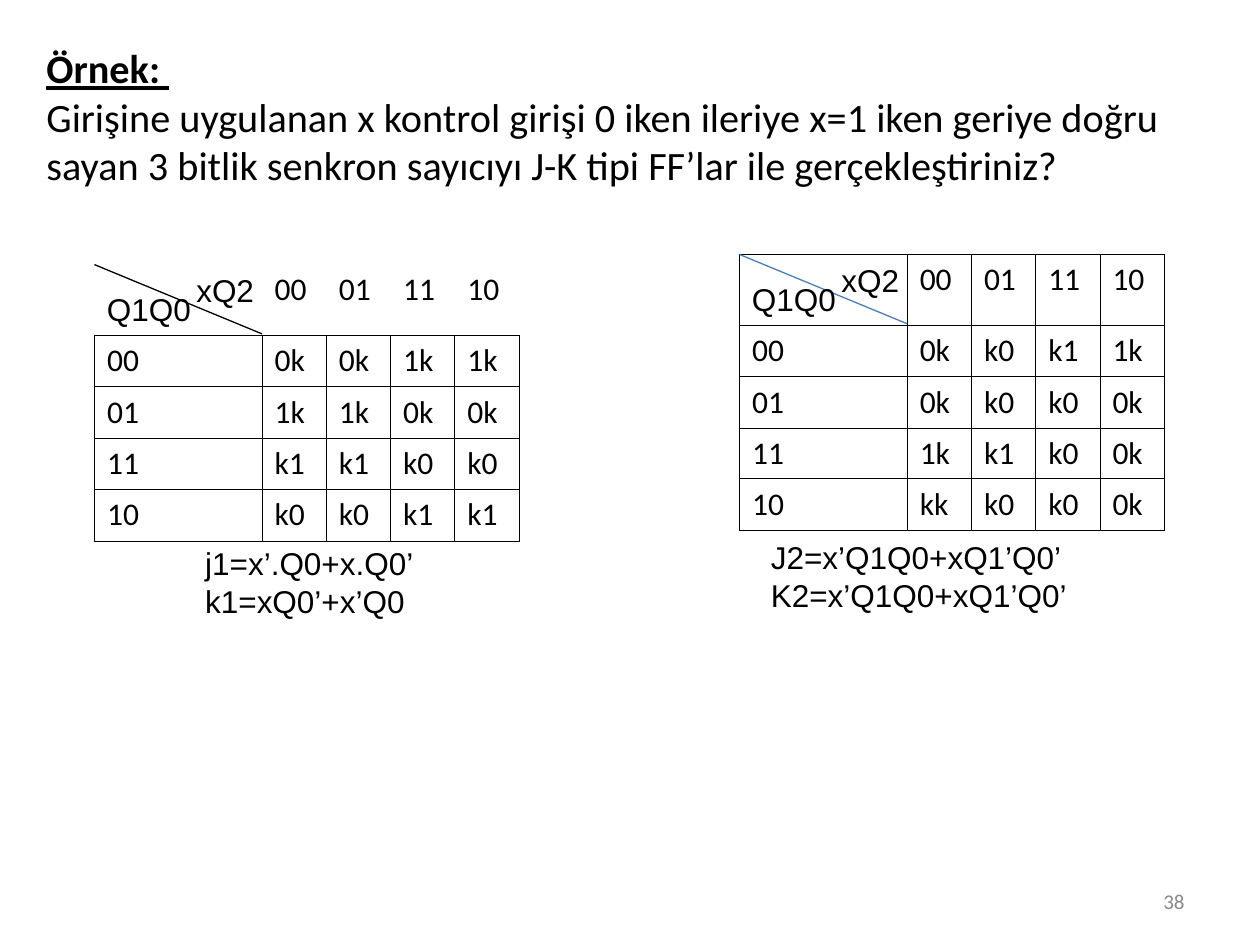
from lxml import etree
from pptx import Presentation
from pptx.dml.color import RGBColor
from pptx.enum.shapes import MSO_CONNECTOR
from pptx.enum.text import MSO_ANCHOR, MSO_AUTO_SIZE, PP_ALIGN
from pptx.oxml.ns import qn
from pptx.util import Inches, Pt

BLACK = RGBColor(0x00, 0x00, 0x00)
BLUE = RGBColor(0x4A, 0x7E, 0xBB)
GRAY = RGBColor(0x89, 0x89, 0x89)
STRAIGHT = MSO_CONNECTOR.STRAIGHT
MIDDLE = MSO_ANCHOR.MIDDLE
TOP = MSO_ANCHOR.TOP
GROW = MSO_AUTO_SIZE.SHAPE_TO_FIT_TEXT
LEFT = PP_ALIGN.LEFT
RIGHT = PP_ALIGN.RIGHT

COL_WIDTHS = [1.33] + [0.51] * 4
ROW_HEIGHTS = [0.56, 0.41, 0.41, 0.4, 0.41]
GRAY_CODE = ["00", "01", "11", "10"]
J1K1 = ["0k 0k 1k 1k", "1k 1k 0k 0k", "k1 k1 k0 k0", "k0 k0 k1 k1"]
J2K2 = ["0k k0 k1 1k", "0k k0 k0 0k", "1k k1 k0 0k", "kk k0 k0 0k"]


def add_run(p, text, size, font="Arial", color=BLACK, strong=False):
    r = p.add_run()
    r.text = text
    r.font.size = Pt(size)
    r.font.name = font
    r.font.color.rgb = color
    r.font.bold = strong
    r.font.underline = strong


def add_box(slide, x, y, w, h, anchor=TOP, wrap=True):
    tf = slide.shapes.add_textbox(Inches(x), Inches(y), Inches(w), Inches(h)).text_frame
    tf.word_wrap = wrap
    tf.vertical_anchor = anchor
    return tf


def add_lines(slide, x, y, w, h, lines, wrap=True):
    tf = add_box(slide, x, y, w, h, wrap=wrap)
    tf.auto_size = GROW
    for i, line in enumerate(lines):
        p = tf.add_paragraph() if i else tf.paragraphs[0]
        add_run(p, line, 18)


def set_borders(cell, sides):
    tc_pr = cell._tc.get_or_add_tcPr()
    for i, side in enumerate("LRTB"):
        ln = etree.Element(qn(f"a:ln{side}"), w=str(Pt(0.45)))
        if side in sides:
            fill = etree.SubElement(ln, qn("a:solidFill"))
            etree.SubElement(fill, qn("a:srgbClr"), val=str(BLACK))
        else:
            etree.SubElement(ln, qn("a:noFill"))
        tc_pr.insert(i, ln)


def add_grid(slide, x, y, values, header_sides):
    table = slide.shapes.add_table(
        len(ROW_HEIGHTS), len(COL_WIDTHS), Inches(x), Inches(y),
        Inches(sum(COL_WIDTHS)), Inches(sum(ROW_HEIGHTS))).table
    table.first_row = False
    table.horz_banding = False
    for column, width in zip(table.columns, COL_WIDTHS):
        column.width = Inches(width)
    for row, height in zip(table.rows, ROW_HEIGHTS):
        row.height = Inches(height)
    rows = [[""] + GRAY_CODE]
    rows += [[code] + line.split() for code, line in zip(GRAY_CODE, values)]
    for i, row in enumerate(rows):
        for j, text in enumerate(row):
            cell = table.cell(i, j)
            cell.fill.background()
            set_borders(cell, "LRTB" if i else header_sides)
            if text:
                add_run(cell.text_frame.paragraphs[0], text, 18, "Calibri")


def add_karnaugh_map(slide, x, y, values, header_sides, line_color):
    add_grid(slide, x, y, values, header_sides)
    diagonal = slide.shapes.add_connector(
        STRAIGHT, Inches(x + COL_WIDTHS[0]), Inches(y + 0.55), Inches(x), Inches(y))
    diagonal.line.color.rgb = line_color
    diagonal.line.width = Pt(0.75)
    etree.SubElement(diagonal._element.spPr, qn("a:effectLst"))
    add_lines(slide, x + 0.71, y, 0.66, 0.4, ["xQ2"], wrap=False)
    add_lines(slide, x, y + 0.15, 0.87, 0.4, ["Q1Q0"], wrap=False)


def add_question(slide, x, y, w, h):
    p = add_box(slide, x, y, w, h, MIDDLE).paragraphs[0]
    p.alignment = LEFT
    add_run(p, "Örnek: ", 23, "Calibri", strong=True)
    p.add_line_break()
    add_run(p, "Girişine uygulanan x kontrol girişi 0 iken ileriye x=1 iken geriye "
               "doğru sayan 3 bitlik senkron sayıcıyı J-K tipi FF’lar ile "
               "gerçekleştiriniz?", 23, "Calibri")


def add_page_number(slide, x, y, w, h):
    p = add_box(slide, x, y, w, h, MIDDLE).paragraphs[0]
    p.alignment = RIGHT
    add_run(p, "38", 12, "Calibri", GRAY)


def main():
    prs = Presentation()
    prs.slide_width = Inches(10)
    prs.slide_height = Inches(7.5)
    slide = prs.slides.add_slide(prs.slide_layouts[6])
    add_karnaugh_map(slide, 0.75, 2.1, J1K1, "B", BLACK)
    add_lines(slide, 1.53, 4.27, 2.05, 0.7, ["j1=x’.Q0+x.Q0’", "k1=xQ0’+x’Q0"])
    add_karnaugh_map(slide, 5.87, 2.02, J2K2, "LRTB", BLUE)
    add_lines(slide, 6.02, 4.22, 2.76, 0.7, ["J2=x’Q1Q0+xQ1’Q0’", "K2=x’Q1Q0+xQ1’Q0’"])
    add_question(slide, 0.27, 0.21, 9.45, 1.42)
    add_page_number(slide, 7.17, 6.95, 2.33, 0.4)
    prs.save("out.pptx")


if __name__ == "__main__":
    main()
